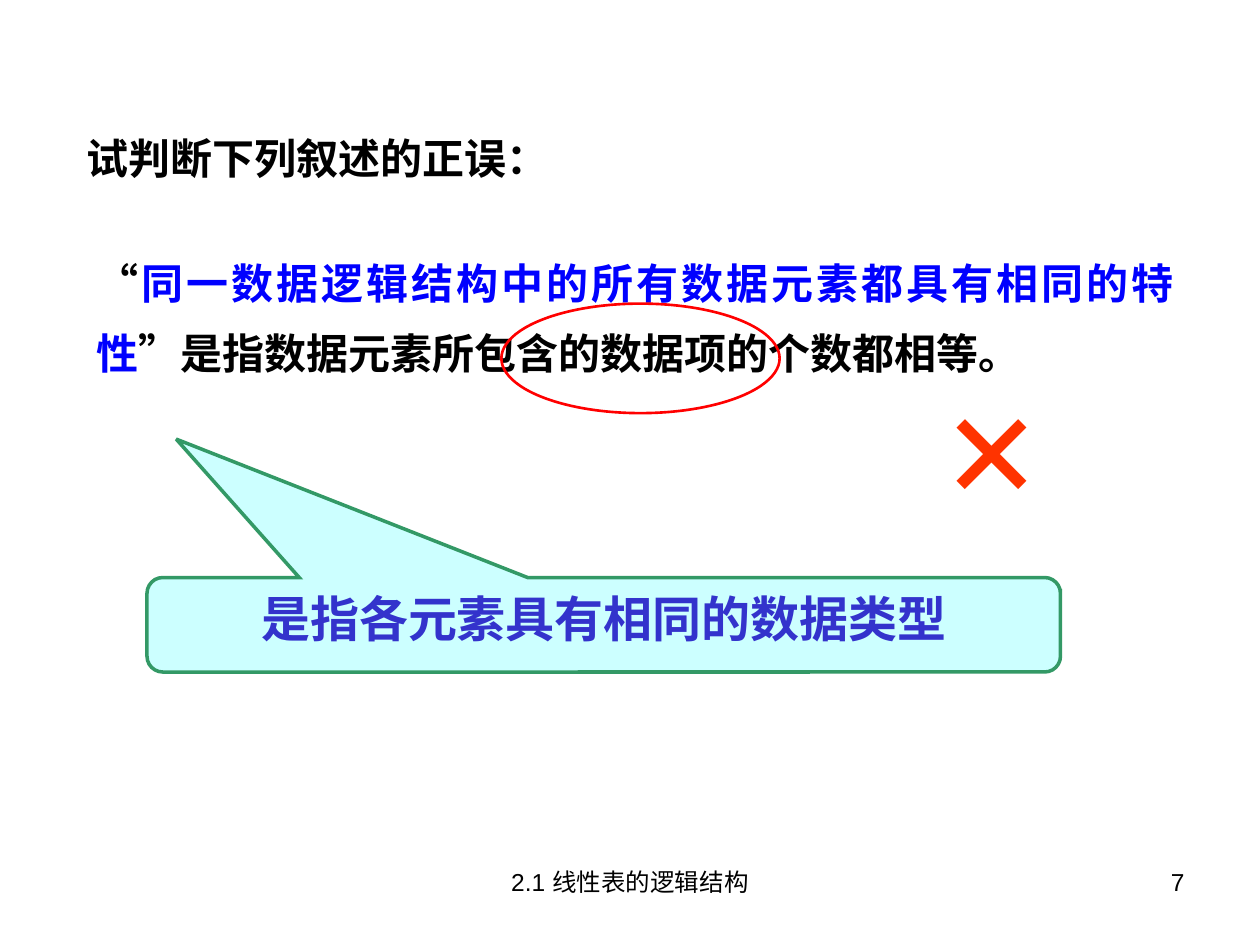
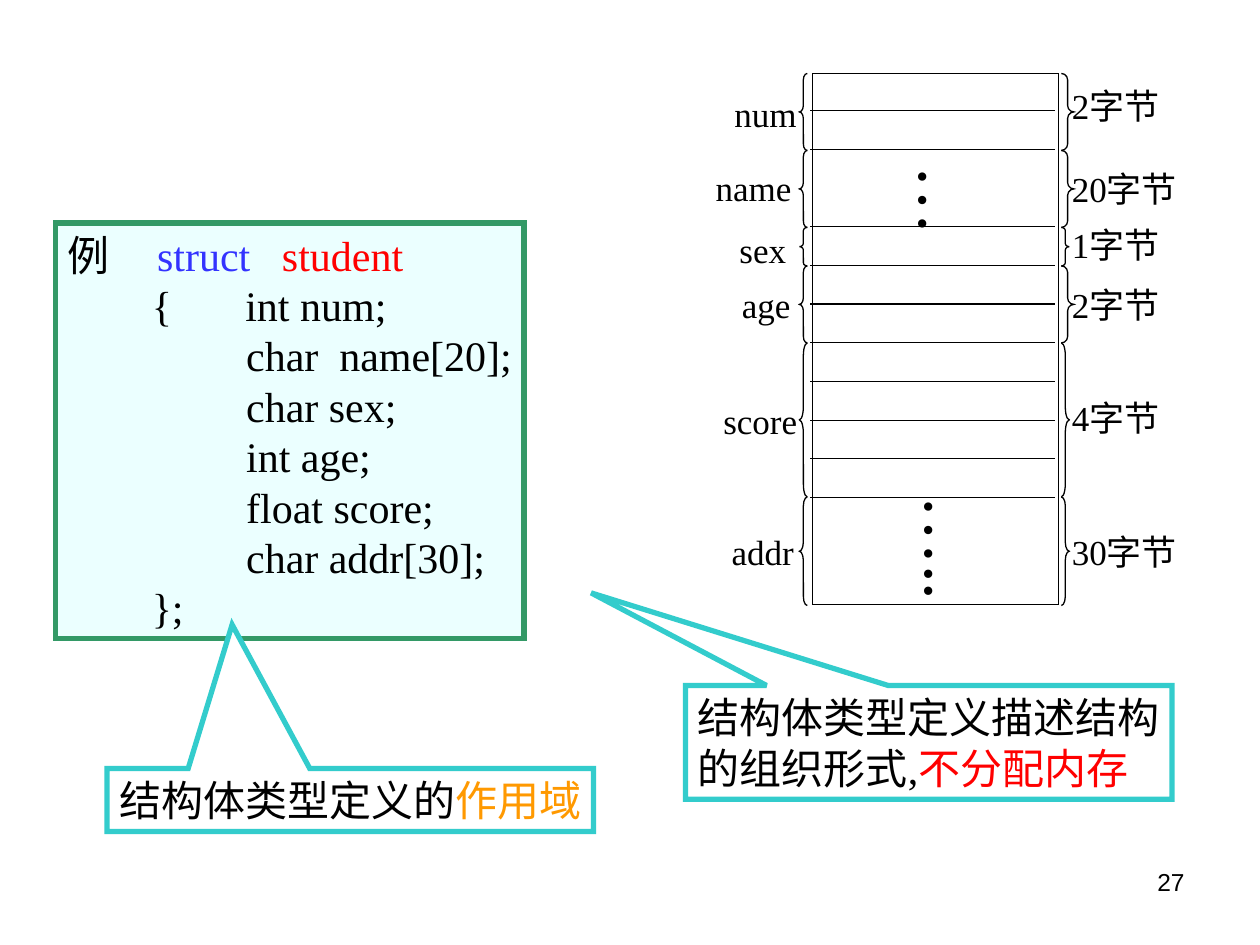
from dataclasses import dataclass
from itertools import pairwise
from typing import Any, NamedTuple, Optional

from lxml import etree
from pptx import Presentation
from pptx import util as u
from pptx.dml import color as c
from pptx.enum import lang, shapes, text
from pptx.oxml import ns

Pt = u.Pt
Align = text.PP_ALIGN
Anchor = text.MSO_ANCHOR
Kind = shapes.MSO_SHAPE


@dataclass(frozen=True)
class Theme:
    black: str = "000000"
    white: str = "FFFFFF"
    red: str = "FF0000"
    blue: str = "0000FF"
    cross: str = "FF3300"
    indigo: str = "3333CC"
    keyword: str = "3333FF"
    orange: str = "FF9900"
    green: str = "339966"
    cyan: str = "33CCCC"
    pale_cyan: str = "CCFFFF"
    code_fill: str = "EBFFFF"
    sans: str = "Arial"
    serif: str = "Times New Roman"
    heading: str = "Montserrat"
    footer_size: float = 14
    label_size: float = 20
    body_size: float = 24
    answer_size: float = 28
    dots_size: float = 40
    cross_size: float = 96
    thin: float = 0.75


T = Theme()


class Box(NamedTuple):
    x: float
    y: float
    w: float
    h: float


class Span(NamedTuple):
    text: str
    color: str = T.black


class Member(NamedTuple):
    name: str
    size: str
    name_x: float
    name_w: float
    brace_w: float = 4.5
    name_drop: float = 0
    size_lift: float = 0


class Callout(NamedTuple):
    box: Box
    tip: tuple[float, float]
    lines: list[list[Span]]


Lines = list[list[Span]]


def rgb(value: str) -> c.RGBColor:
    return c.RGBColor.from_string(value)


def place(sp: Any, box: Box) -> None:
    sp.left, sp.top, sp.width, sp.height = map(Pt, box)


def write(sp: Any, lines: Lines, *, size: float = T.body_size, font: str = T.serif,
          bold: bool = False, align: Align = Align.LEFT, anchor: Anchor = Anchor.TOP,
          wrap: bool = True, grow: bool = False, spacing: Optional[float] = None,
          tab: Optional[float] = None, vertical: bool = False,
          insets: tuple[float, float, float, float] = (7.2, 3.6, 7.2, 3.6)) -> None:
    tf = sp.text_frame
    tf.word_wrap = wrap
    tf.vertical_anchor = anchor
    tf.auto_size = text.MSO_AUTO_SIZE.SHAPE_TO_FIT_TEXT if grow else text.MSO_AUTO_SIZE.NONE
    tf.margin_left, tf.margin_top, tf.margin_right, tf.margin_bottom = map(Pt, insets)
    if vertical:
        tf._txBody.bodyPr.set("vert", "eaVert")
    for i, spans in enumerate(lines):
        p = tf.add_paragraph() if i else tf.paragraphs[0]
        p.alignment = align
        if spacing:
            p.line_spacing = spacing
        if tab:
            stops = etree.SubElement(p._p.get_or_add_pPr(), ns.qn("a:tabLst"))
            etree.SubElement(stops, ns.qn("a:tab"), pos=str(Pt(tab)), algn="l")
        for span in spans:
            r = p.add_run()
            r.text = span.text
            r.font.size = Pt(size)
            r.font.name = font
            r.font.bold = bold
            r.font.color.rgb = rgb(span.color)
            r.font.language_id = lang.MSO_LANGUAGE_ID.SIMPLIFIED_CHINESE


def add_text(s: Any, box: Box, lines: Lines, **fmt: Any) -> None:
    sp = s.shapes.add_textbox(*map(Pt, box))
    write(sp, lines, **fmt)


def add_shape(s: Any, kind: Kind, box: Box, line: str, width: float,
              fill: Optional[str] = None, adjust: tuple[float, ...] = ()) -> Any:
    sp = s.shapes.add_shape(kind, *map(Pt, box))
    sp.shadow.inherit = False
    if fill:
        sp.fill.solid()
        sp.fill.fore_color.rgb = rgb(fill)
    else:
        sp.fill.background()
    sp.line.color.rgb = rgb(line)
    sp.line.width = Pt(width)
    etree.SubElement(sp.line._get_or_add_ln(), ns.qn("a:miter"), lim="800000")
    for i, value in enumerate(adjust):
        sp.adjustments[i] = value
    return sp


def add_rule(s: Any, x1: float, x2: float, y: float) -> None:
    cn = s.shapes.add_connector(shapes.MSO_CONNECTOR.STRAIGHT, Pt(x1), Pt(y), Pt(x2), Pt(y))
    cn.line.color.rgb = rgb(T.black)
    cn.line.width = Pt(T.thin)
    etree.SubElement(cn._element.spPr, ns.qn("a:effectLst"))


def add_brace(s: Any, kind: Kind, box: Box) -> None:
    add_shape(s, kind, box, T.black, T.thin, adjust=(box.h / 12 / box.w, 0.5))


def add_footer(s: Any, number: int, caption: str = "") -> None:
    fmt = dict(size=T.footer_size, font=T.sans)
    add_text(s, Box(516, 492, 168, 37.5), [[Span(str(number))]], align=Align.RIGHT, **fmt)
    if caption:
        add_text(s, Box(246, 492, 228, 37.5), [[Span(caption)]], align=Align.CENTER, **fmt)


def build_judgement(prs: Any) -> None:
    s = prs.slides.add_slide(prs.slide_layouts[5])
    title = s.shapes.title
    place(title, Box(42.5, 72, 278, 36))
    write(title, [[Span("试判断下列叙述的正误：")]], font=T.heading, bold=True, wrap=False)

    statement = [
        Span("“"),
        Span("同一数据逻辑结构中的所有数据元素都具有相同的特性", T.blue),
        Span("”是指数据元素所包含的数据项的个数都相等。"),
    ]
    add_text(s, Box(48, 132, 630, 138), [statement], font=T.sans, bold=True,
             align=Align.JUSTIFY, spacing=1.4)
    add_text(s, Box(480, 192, 174, 122.4), [[Span("×", T.cross)]], size=T.cross_size,
             bold=True, align=Align.CENTER, grow=True)

    answer = add_shape(s, Kind.ROUNDED_RECTANGULAR_CALLOUT, Box(84, 330, 522, 54), T.green, 2,
                       T.pale_cyan, (-0.468, -1.965, 0.167))
    write(answer, [[Span("是指各元素具有相同的数据类型", T.indigo)]], size=T.answer_size,
          bold=True, align=Align.CENTER)
    add_shape(s, Kind.OVAL, Box(286.5, 173.5, 159, 62.6), T.red, 1.5)
    add_footer(s, 7, "2.1 线性表的逻辑结构")


CODE: Lines = [
    [Span("例\t"), Span("struct   ", T.keyword), Span("student", T.red)],
    [Span("        {       int num;")],
    [Span("                 char  name[20];")],
    [Span("                 char sex;")],
    [Span("                 int age;")],
    [Span("                 float score;")],
    [Span("                 char addr[30];")],
    [Span("        };")],
]

MEMBERS = [
    Member("num", "2字节", 412.6, 49.7, 7.2, 1, 4),
    Member("name", "20字节", 401.8, 57.6, 7.2, -1),
    Member("sex", "1字节", 415.4, 41, 4.5, 1.5, 1.5),
    Member("age", "2字节", 416.9, 41.8, 7.2),
    Member("score", "4字节", 406, 56.9, size_lift=1.5),
    Member("addr", "30字节", 411, 49.7),
]
MEMBER_EDGES = [42, 86, 130, 152, 196, 284, 346]

CALLOUTS = [
    Callout(Box(391.7, 391.7, 278, 65), (-0.694, -1.314), [
        [Span("结构体类型定义描述结构")],
        [Span("的组织形式,"), Span("不分配内存", T.red)],
    ]),
    Callout(Box(61.2, 439.2, 278, 36), (-0.243, -2.785), [
        [Span("结构体类型定义的"), Span("作用域", T.orange)],
    ]),
]

PANEL_FORMAT = dict(anchor=Anchor.MIDDLE, wrap=False, insets=(7.2, 3.6, 0, 3.6))


def add_memory_map(s: Any) -> None:
    add_shape(s, Kind.RECTANGLE, Box(464.4, 41.8, 140.4, 303.8), T.black, T.thin)
    for row in range(1, 12):
        if row != 3:
            add_rule(s, 463, 602.6, 41.2 + 22.1 * row)

    label = dict(size=T.label_size, align=Align.CENTER, anchor=Anchor.MIDDLE,
                 wrap=False, insets=(0, 3.6, 0, 3.6))
    label_h = 31.7
    for m, (top, bottom) in zip(MEMBERS, pairwise(MEMBER_EDGES)):
        add_brace(s, Kind.LEFT_BRACE, Box(456.8, top, 4.5, bottom - top))
        add_brace(s, Kind.RIGHT_BRACE, Box(606.5, top, m.brace_w, bottom - top))
        y = (top + bottom - label_h) / 2
        add_text(s, Box(m.name_x, y + m.name_drop, m.name_w, label_h), [[Span(m.name)]], **label)
        size_w = 69 + 10 * (len(m.size) - 3)
        add_text(s, Box(603, y - m.size_lift, size_w, label_h), [[Span(m.size)]], **label)

    dots = dict(size=T.dots_size, align=Align.CENTER, anchor=Anchor.MIDDLE,
                grow=True, vertical=True, insets=(3.6, 7.2, 3.6, 7.2))
    add_text(s, Box(510.5, 87.5, 62, 36.7), [[Span("…")]], **dots)
    add_text(s, Box(514, 276, 62, 67.7), [[Span("…..")]], wrap=False, **dots)


def build_struct(prs: Any) -> None:
    s = prs.slides.add_slide(prs.slide_layouts[6])
    code = add_shape(s, Kind.RECTANGLE, Box(31.7, 127.4, 267.8, 237.6), T.green, 3, T.code_fill)
    write(code, CODE, tab=51, **PANEL_FORMAT)
    add_memory_map(s)
    for note in CALLOUTS:
        sp = add_shape(s, Kind.RECTANGULAR_CALLOUT, note.box, T.cyan, 3, T.white, note.tip)
        write(sp, note.lines, **PANEL_FORMAT)
    add_footer(s, 27)


def main() -> None:
    prs = Presentation()
    prs.slide_width, prs.slide_height = Pt(720), Pt(540)
    build_judgement(prs)
    build_struct(prs)
    prs.save("out.pptx")


if __name__ == "__main__":
    main()
